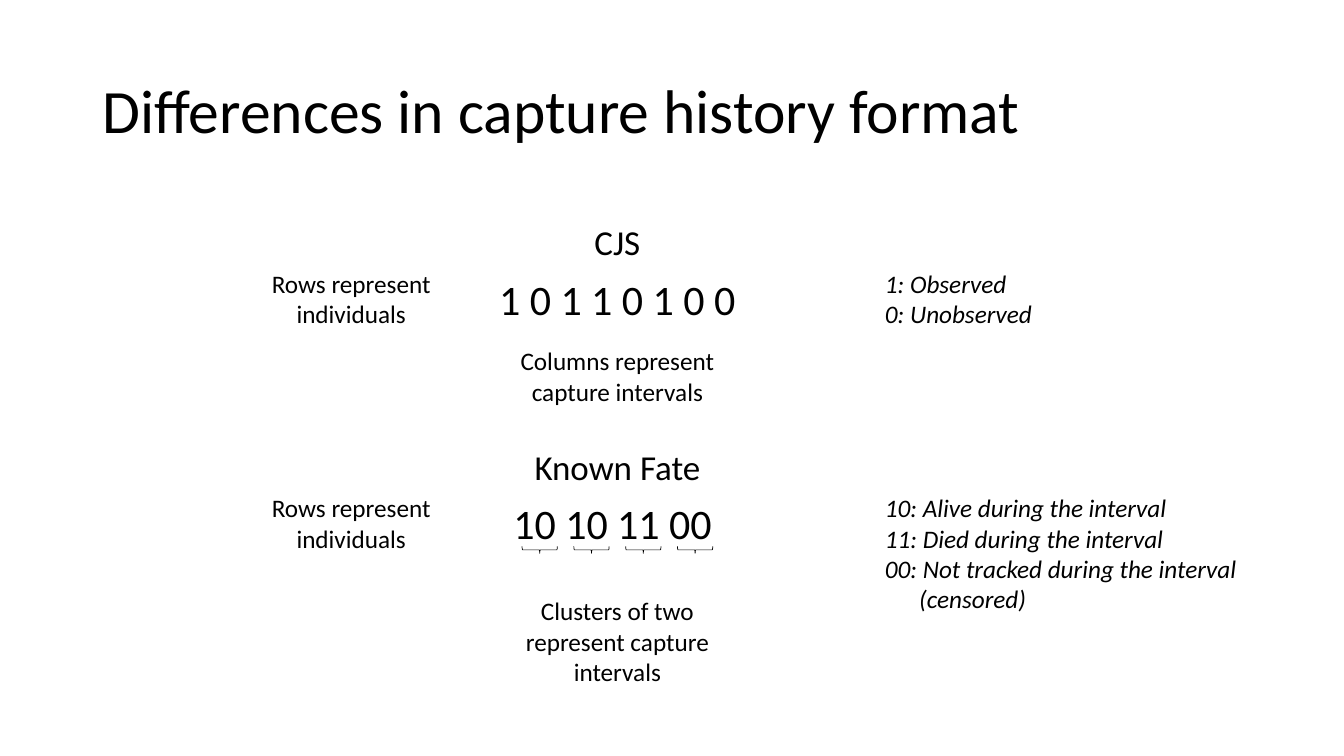
from dataclasses import dataclass

from pptx import Presentation
from pptx.dml.color import RGBColor
from pptx.enum.shapes import MSO_SHAPE
from pptx.enum.text import MSO_ANCHOR, MSO_AUTO_SIZE, PP_ALIGN
from pptx.util import Pt


@dataclass(frozen=True)
class Theme:
    """Colour, font and type sizes of the slide."""
    font: str = "Calibri"
    ink: RGBColor = RGBColor(0, 0, 0)
    title: int = 44
    code: int = 30
    heading: int = 25
    note: int = 18


T = Theme()

TITLE = "Differences in capture history format"
ROWS_NOTE = "Rows represent individuals"
# The trailing space shifts the centred Known Fate history over its braces.
FORMATS = [
    dict(top=154.1, name="CJS", history="1 0 1 1 0 1 0 0",
         note="Columns represent capture intervals", note_dy=89.3, note_h=51.1,
         key=["1: Observed", "0: Unobserved"], key_w=136.1, key_h=51.1),
    dict(top=314.6, name="Known Fate", history="10 10 11 00 ",
         note="Clusters of two represent capture intervals",
         note_dy=107.3, note_h=72.7,
         key=["10: Alive during the interval", "11: Died during the interval",
              "00: Not tracked during the interval", "(censored)"],
         key_w=283.7, key_h=94.3),
]
CONTINUATIONS = {"(censored)"}
CONTINUATION_INDENT = 24.5

ROWS_X, HISTORY_X, CENTER_X, KEY_X = 167, 334.8, 357.1, 625
NOTE_W, HISTORY_W = 167.8, 212.4
HISTORY_DY, SIDE_DY = 37.4, 33.8
BRACES, BRACE_X, BRACE_Y, BRACE_PITCH = 4, 383, 380.2, 37
BRACE_W, BRACE_H = 5, 25.2


def write(tf, lines, size, align=PP_ALIGN.CENTER, italic=False, spacing=None):
    """Fill a text frame with one formatted paragraph per line."""
    for i, line in enumerate(lines):
        p = tf.paragraphs[0] if i == 0 else tf.add_paragraph()
        p.alignment = align
        if spacing:
            p.line_spacing = spacing
        if line in CONTINUATIONS:
            p._p.get_or_add_pPr().set("marL", str(Pt(CONTINUATION_INDENT)))
        r = p.add_run()
        r.text = line
        r.font.name, r.font.size = T.font, Pt(size)
        r.font.italic = italic
        r.font.color.rgb = T.ink


def place(sp, x, y, w, h):
    """Set a shape's frame in points."""
    sp.left, sp.top, sp.width, sp.height = Pt(x), Pt(y), Pt(w), Pt(h)


def add_text(s, lines, x, y, w, h, **fmt):
    """Add a wrapping text box."""
    tf = s.shapes.add_textbox(Pt(x), Pt(y), Pt(w), Pt(h)).text_frame
    tf.word_wrap = True
    tf.auto_size = MSO_AUTO_SIZE.SHAPE_TO_FIT_TEXT
    write(tf, lines, **fmt)


def add_format(s, f):
    """Add one capture history format with its labels and key."""
    top = f["top"]
    side = top + SIDE_DY
    add_text(s, [f["name"]], CENTER_X, top, NOTE_W, 37.4, size=T.heading)
    add_text(s, [f["history"]], HISTORY_X, top + HISTORY_DY, HISTORY_W, 43.9,
             size=T.code)
    add_text(s, [ROWS_NOTE], ROWS_X, side, NOTE_W, 51.1, size=T.note)
    add_text(s, [f["note"]], CENTER_X, top + f["note_dy"], NOTE_W, f["note_h"],
             size=T.note)
    add_text(s, f["key"], KEY_X, side, f["key_w"], f["key_h"], size=T.note,
             align=PP_ALIGN.LEFT, italic=True)


def add_brace(s, x):
    """Add a brace turned to open upwards under one cluster."""
    sp = s.shapes.add_shape(MSO_SHAPE.RIGHT_BRACE, Pt(x), Pt(BRACE_Y),
                            Pt(BRACE_W), Pt(BRACE_H))
    sp.rotation = 90
    sp.shadow.inherit = False
    sp.fill.background()
    sp.line.color.rgb = T.ink
    sp.line.width = Pt(0.5)


prs = Presentation()
prs.slide_width, prs.slide_height = Pt(960), Pt(540)
s = prs.slides.add_slide(prs.slide_layouts[5])

title = s.shapes.title
place(title, 66, 28.8, 828, 104.4)
tf = title.text_frame
tf.vertical_anchor = MSO_ANCHOR.MIDDLE
tf.auto_size = MSO_AUTO_SIZE.NONE
write(tf, [TITLE], T.title, align=PP_ALIGN.LEFT, spacing=0.9)

for f in FORMATS:
    add_format(s, f)
for i in range(BRACES):
    add_brace(s, BRACE_X + i * BRACE_PITCH)

prs.save("out.pptx")
